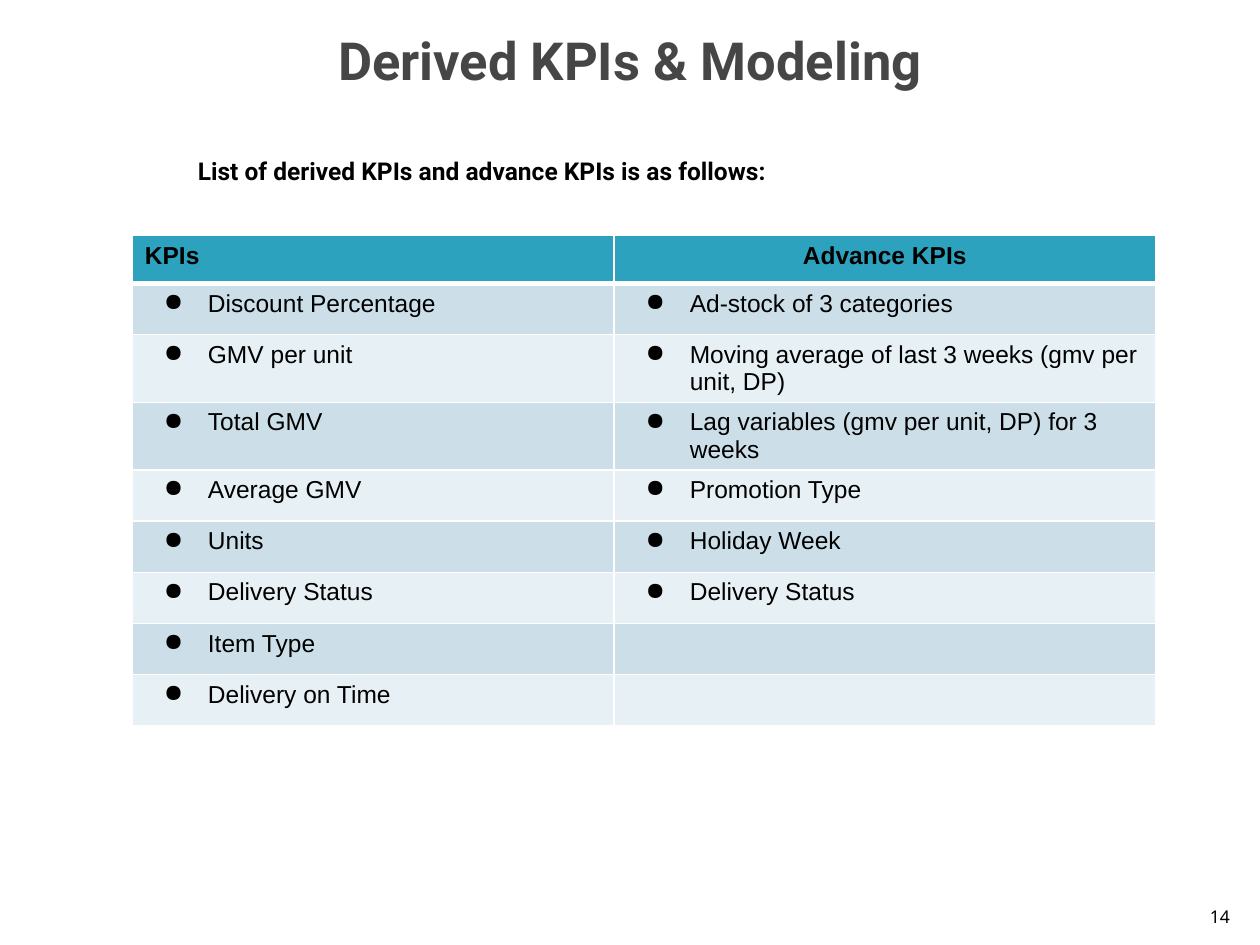
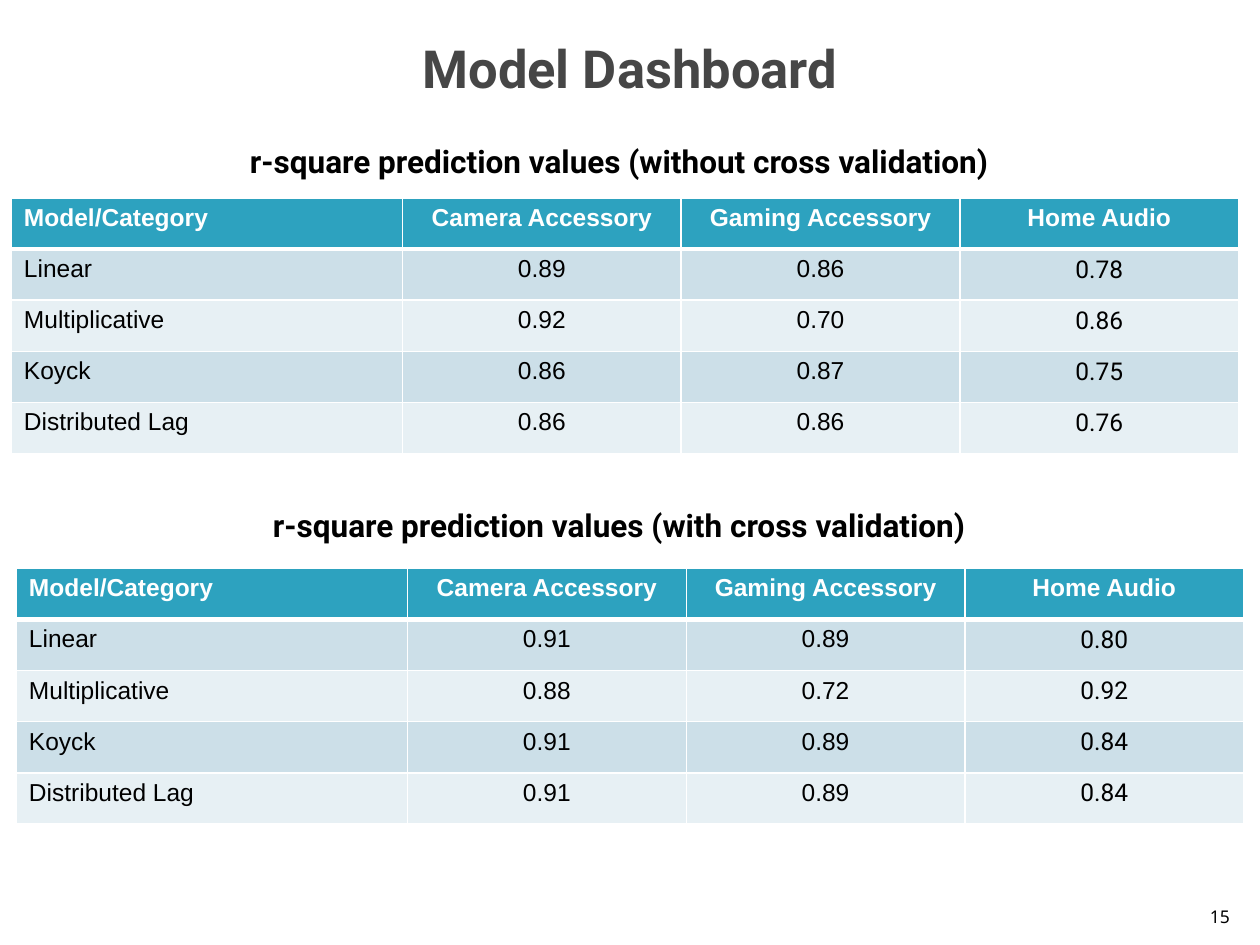
from dataclasses import dataclass
from itertools import zip_longest

from lxml import etree
from pptx import Presentation
from pptx.dml.color import RGBColor
from pptx.enum.text import MSO_ANCHOR, MSO_AUTO_SIZE, PP_ALIGN
from pptx.oxml.ns import qn
from pptx.util import Inches, Pt

LEFT, CENTER, RIGHT = PP_ALIGN.LEFT, PP_ALIGN.CENTER, PP_ALIGN.RIGHT
JUSTIFY = PP_ALIGN.JUSTIFY
TOP, MIDDLE, BOTTOM = MSO_ANCHOR.TOP, MSO_ANCHOR.MIDDLE, MSO_ANCHOR.BOTTOM
NO_FIT = MSO_AUTO_SIZE.NONE

# Page grid: 100 columns by 75 rows of square units
COLUMNS, ROWS = 100, 75
UNIT = Inches(10) // COLUMNS
TITLE_ONLY, TITLE_AND_BODY = 5, 1

BLACK, WHITE, TITLE_GREY = "000000", "FFFFFF", "464646"
HEADER_FILL = "2DA2BF"
BAND_FILLS = ("CCDFE8", "E7F0F4")
THIN, THICK = 1, 3


@dataclass(frozen=True)
class Area:
    left: float
    top: float
    width: float
    height: float

    def lengths(self) -> tuple:
        return tuple(grid(n) for n in (self.left, self.top, self.width, self.height))


@dataclass(frozen=True)
class TextStyle:
    size: float
    font: str
    color: str = BLACK
    bold: bool = False
    align: PP_ALIGN = LEFT
    anchor: MSO_ANCHOR = TOP


@dataclass(frozen=True)
class TableLayout:
    left: float
    top: float
    columns: tuple
    header_row: float
    body_row: float


@dataclass(frozen=True)
class ScoreSection:
    heading: str
    heading_top: float
    table_left: float
    table_top: float
    scores: tuple


TITLE = TextStyle(30, "Roboto", TITLE_GREY, True, CENTER, MIDDLE)
PAGE_NUMBER = TextStyle(10, "Noto Sans", align=RIGHT, anchor=BOTTOM)
INTRO = TextStyle(14, "Roboto", bold=True, align=JUSTIFY)
SECTION = TextStyle(18, "Roboto", bold=True, align=CENTER)
CELL = TextStyle(14, "Arial")
CELL_CENTER = TextStyle(14, "Arial", align=CENTER)
CELL_LAST = TextStyle(14, "Roboto", align=CENTER)

KPIS = ("Discount Percentage", "GMV per unit", "Total GMV", "Average GMV",
        "Units", "Delivery Status", "Item Type", "Delivery on Time")
ADVANCE_KPIS = ("Ad-stock of 3 categories",
                "Moving average of last 3 weeks (gmv per unit, DP)",
                "Lag variables (gmv per unit, DP) for 3 weeks",
                "Promotion Type", "Holiday Week", "Delivery Status")

SCORE_HEADERS = ("Model/Category", "Camera Accessory", "Gaming Accessory", "Home Audio")
MODELS = ("Linear", "Multiplicative", "Koyck", "Distributed Lag")
SCORE_SECTIONS = (
    ScoreSection("r-square prediction values (without cross validation)", 10.8, 0.9, 15.7,
                 (("0.89", "0.86", "0.78"), ("0.92", "0.70", "0.86"),
                  ("0.86", "0.87", "0.75"), ("0.86", "0.86", "0.76"))),
    ScoreSection("r-square prediction values (with cross validation)", 39.7, 1.3, 45.1,
                 (("0.91", "0.89", "0.80"), ("0.88", "0.72", "0.92"),
                  ("0.91", "0.89", "0.84"), ("0.91", "0.89", "0.84"))),
)


def grid(units: float) -> int:
    return round(units * UNIT)


def rgb(color: str) -> RGBColor:
    return RGBColor.from_string(color)


# Text
def write(frame, text: str, style: TextStyle) -> None:
    frame.text = text
    para = frame.paragraphs[0]
    para.alignment = style.align
    para.space_before = Pt(0)
    for span in para.runs:
        span.font.size = Pt(style.size)
        span.font.name = style.font
        span.font.bold = style.bold
        span.font.color.rgb = rgb(style.color)


def fill_box(box, area: Area, text: str, style: TextStyle) -> None:
    box.left, box.top, box.width, box.height = area.lengths()
    frame = box.text_frame
    frame.word_wrap = True
    frame.auto_size = NO_FIT
    frame.vertical_anchor = style.anchor
    write(frame, text, style)


def add_text(page, area: Area, text: str, style: TextStyle) -> None:
    fill_box(page.shapes.add_textbox(*area.lengths()), area, text, style)


def set_indent(para, margin: float, hanging: float, bullet: str = "") -> None:
    properties = para._p.get_or_add_pPr()
    properties.set("marL", str(grid(margin)))
    properties.set("indent", str(grid(-hanging)))
    if bullet:
        etree.SubElement(properties, qn("a:buChar")).set("char", bullet)
    else:
        etree.SubElement(properties, qn("a:buNone"))


# Tables
def set_borders(cell, top: float, bottom: float) -> None:
    properties = cell._tc.get_or_add_tcPr()
    for side, width in (("L", THIN), ("R", THIN), ("T", top), ("B", bottom)):
        line = etree.SubElement(properties, qn(f"a:ln{side}"))
        line.set("w", str(Pt(width)))
        fill = etree.SubElement(line, qn("a:solidFill"))
        etree.SubElement(fill, qn("a:srgbClr")).set("val", WHITE)


def add_banded_table(page, layout: TableLayout, headers: tuple, records: list,
                     header_color: str, styles: tuple, bullet: str = "") -> None:
    rows = [headers, *records]
    heights = [layout.header_row] + [layout.body_row] * len(records)
    area = Area(layout.left, layout.top, sum(layout.columns), sum(heights))
    table = page.shapes.add_table(len(rows), len(headers), *area.lengths()).table
    for column, width in zip(table.columns, layout.columns):
        column.width = grid(width)
    for index, (row, height, values) in enumerate(zip(table.rows, heights, rows)):
        row.height = grid(height)
        for position, (cell, value) in enumerate(zip(row.cells, values)):
            is_header = index == 0
            set_borders(cell, THICK if index == 1 else THIN, THICK if is_header else THIN)
            cell.fill.solid()
            cell.fill.fore_color.rgb = rgb(HEADER_FILL if is_header else BAND_FILLS[(index - 1) % 2])
            if not value:
                continue
            style = styles[position]
            if is_header:
                style = TextStyle(14, "Arial", header_color, True, CENTER if position else LEFT)
            write(cell.text_frame, value, style)
            if bullet and not is_header:
                set_indent(cell.text_frame.paragraphs[0], 5, 3.5, bullet)


# Pages
def add_page(deck, layout: int, title: str, title_height: float, number: int):
    page = deck.slides.add_slide(deck.slide_layouts[layout])
    add_text(page, Area(94.6, 70.1, 4, 4), str(number), PAGE_NUMBER)
    fill_box(page.shapes.title, Area(0, 0, COLUMNS, title_height), title, TITLE)
    return page


def add_kpi_page(deck) -> None:
    page = add_page(deck, TITLE_AND_BODY, "Derived KPIs & Modeling", 9.5, 14)
    body = page.placeholders[1]
    fill_box(body, Area(4.7, 9.5, 89.8, 64.6),
             "List of derived KPIs and advance KPIs is as follows:", INTRO)
    body.text_frame.margin_top = grid(2.85)
    set_indent(body.text_frame.paragraphs[0], 10, 0)
    records = list(zip_longest(KPIS, ADVANCE_KPIS, fillvalue=""))
    add_banded_table(page, TableLayout(10.5, 18.7, (38.25, 42.95), 3.8, 4.06),
                     ("KPIs", "Advance KPIs"), records, BLACK, (CELL, CELL), "●")


def add_dashboard_page(deck) -> None:
    page = add_page(deck, TITLE_ONLY, "Model Dashboard", 10.8, 15)
    for section in SCORE_SECTIONS:
        layout = TableLayout(section.table_left, section.table_top,
                             (31.05,) + (22.12,) * 3, 4.06, 4.06)
        records = [(model, *scores) for model, scores in zip(MODELS, section.scores)]
        add_banded_table(page, layout, SCORE_HEADERS, records, WHITE,
                         (CELL, CELL_CENTER, CELL_CENTER, CELL_LAST))
        add_text(page, Area(0, section.heading_top, 98.3, 4), section.heading, SECTION)


def main() -> None:
    deck = Presentation()
    deck.slide_width, deck.slide_height = COLUMNS * UNIT, ROWS * UNIT
    add_kpi_page(deck)
    add_dashboard_page(deck)
    deck.save("out.pptx")


if __name__ == "__main__":
    main()
